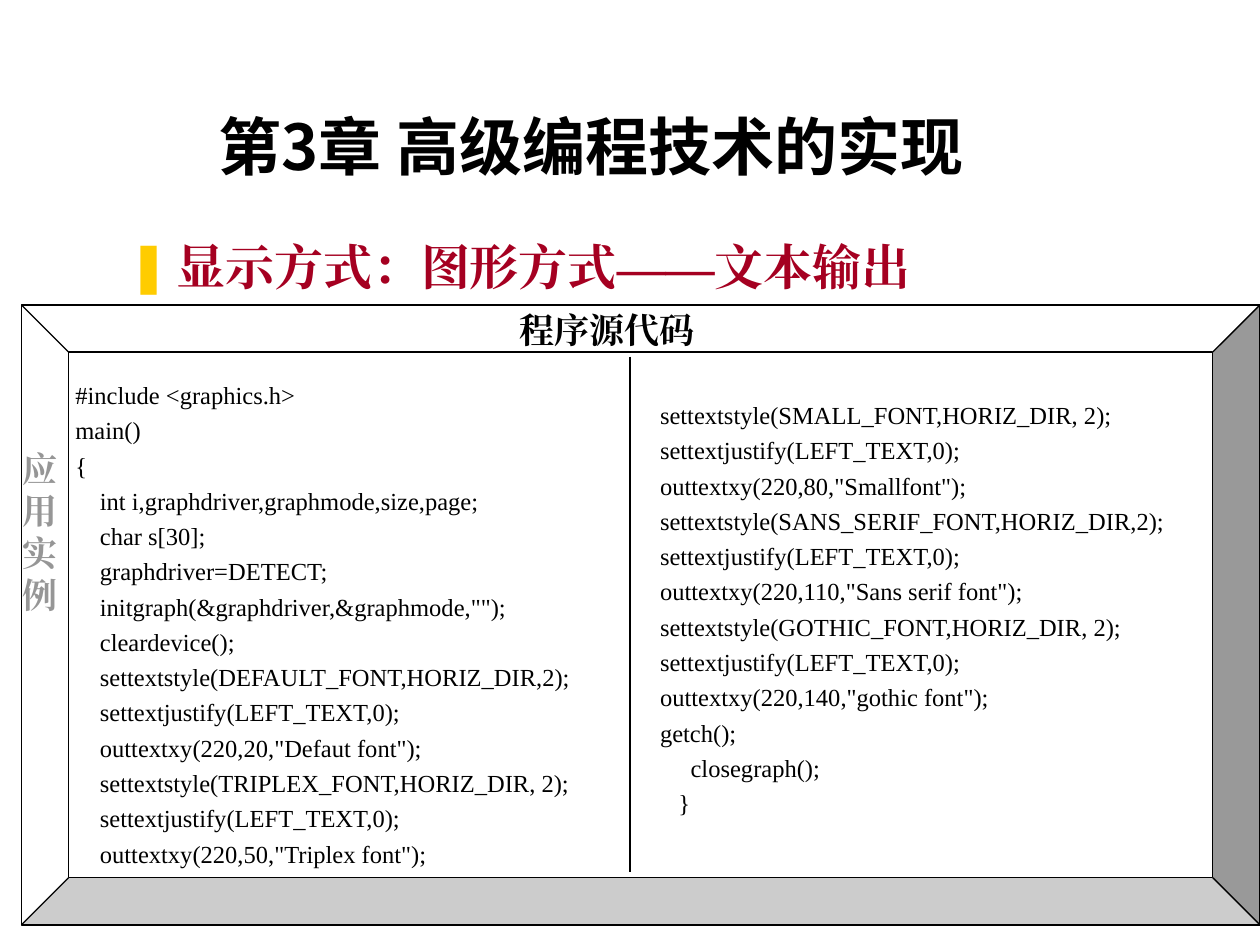
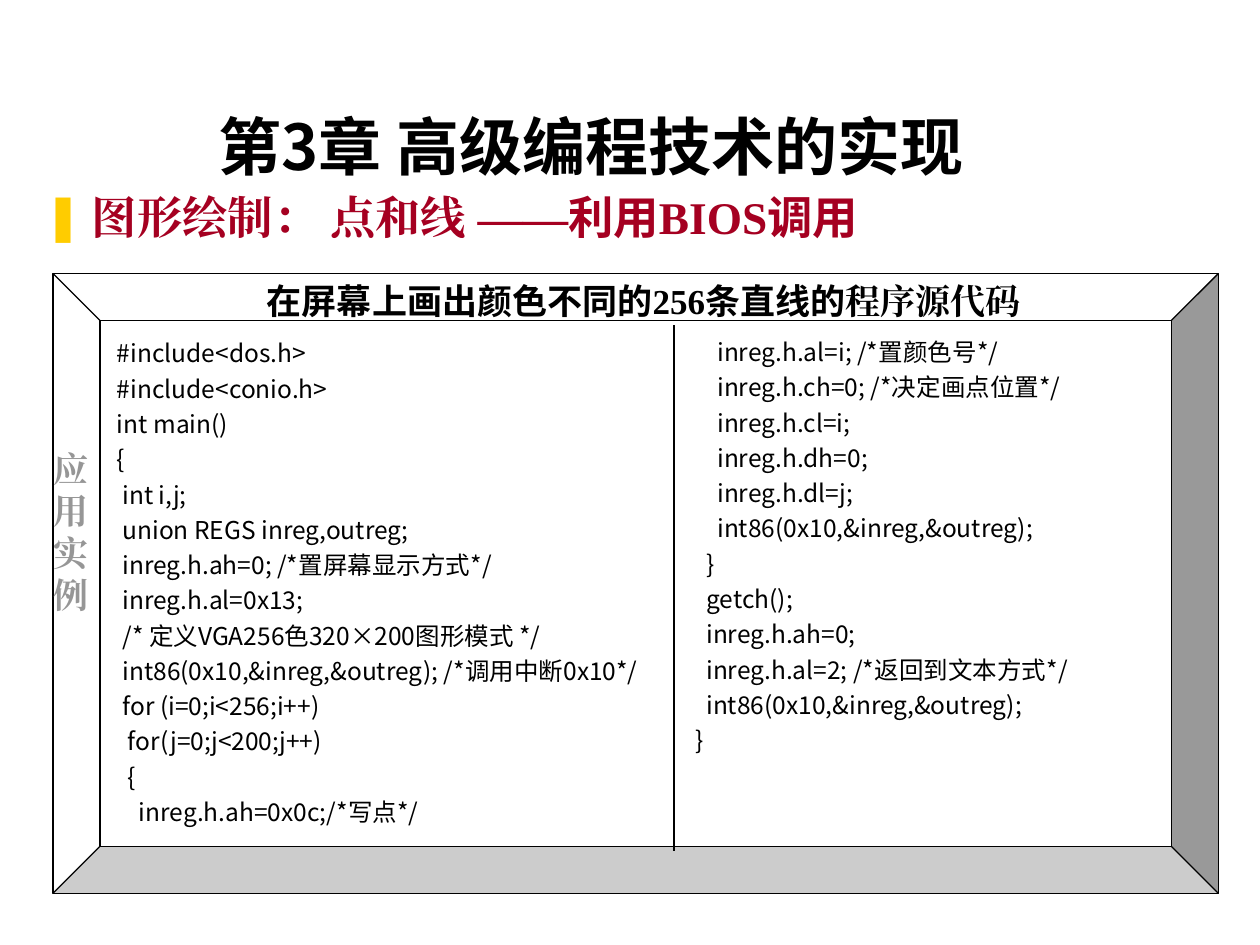
"""Build two slides of code samples, each in a bevelled frame."""
from dataclasses import dataclass

from lxml import etree
from pptx import Presentation
from pptx import util as u
from pptx.dml.color import RGBColor
from pptx.enum import shapes, text
from pptx.oxml.ns import qn

SANS = "Noto Sans CJK SC"
SERIF = "Times New Roman"
BLACK, WHITE, GREY, RED, GOLD = "000000", "FFFFFF", "969696", "A50021", "FFCC00"
HANG = u.Inches(0.38)
ALIGN = text.PP_ALIGN
TITLE = "第3章 高级编程技术的实现"
LABEL = "应用实例"

FONT_LEFT = """\
#include <graphics.h>
main()
{
    int i,graphdriver,graphmode,size,page;
    char s[30];
    graphdriver=DETECT;
    initgraph(&graphdriver,&graphmode,"");
    cleardevice();
    settextstyle(DEFAULT_FONT,HORIZ_DIR,2);
    settextjustify(LEFT_TEXT,0);
    outtextxy(220,20,"Defaut font");
    settextstyle(TRIPLEX_FONT,HORIZ_DIR, 2);
    settextjustify(LEFT_TEXT,0);
    outtextxy(220,50,"Triplex font");"""

FONT_RIGHT = """\
settextstyle(SMALL_FONT,HORIZ_DIR, 2);
settextjustify(LEFT_TEXT,0);
outtextxy(220,80,"Smallfont");
settextstyle(SANS_SERIF_FONT,HORIZ_DIR,2);
settextjustify(LEFT_TEXT,0);
outtextxy(220,110,"Sans serif font");
settextstyle(GOTHIC_FONT,HORIZ_DIR, 2);
settextjustify(LEFT_TEXT,0);
outtextxy(220,140,"gothic font");
getch();
     closegraph();
   }"""

LINE_LEFT = """\
#include<dos.h>
#include<conio.h>
int main()
{
 int i,j;
 union REGS inreg,outreg;
 inreg.h.ah=0; /*置屏幕显示方式*/
 inreg.h.al=0x13;
 /* 定义VGA256色320×200图形模式 */
 int86(0x10,&inreg,&outreg); /*调用中断0x10*/
 for (i=0;i<256;i++)
  for(j=0;j<200;j++)
  {
    inreg.h.ah=0x0c;/*写点*/"""

LINE_RIGHT = """\
    inreg.h.al=i; /*置颜色号*/
    inreg.h.ch=0; /*决定画点位置*/
    inreg.h.cl=i;
    inreg.h.dh=0;
    inreg.h.dl=j;
    int86(0x10,&inreg,&outreg);
  }
  getch();
  inreg.h.ah=0;
  inreg.h.al=2; /*返回到文本方式*/
  int86(0x10,&inreg,&outreg);
}"""


@dataclass(frozen=True)
class Box:
    """A place on the slide, in inches."""
    left: float
    top: float
    width: float
    height: float

    def put(self) -> list[u.Length]:
        """Return the place as lengths."""
        return [u.Inches(v) for v in (self.left, self.top, self.width, self.height)]


@dataclass(frozen=True)
class Run:
    """A piece of text in one font."""
    words: str
    face: str = SERIF


@dataclass(frozen=True)
class Style:
    """The look of a block of text."""
    size: float
    hue: str = BLACK
    bold: bool = True
    align: ALIGN = ALIGN.LEFT
    space: float = 1.0


@dataclass(frozen=True)
class Code:
    """A column of source code."""
    box: Box
    lines: str


@dataclass(frozen=True)
class Page:
    """All that differs from slide to slide."""
    topic: list[Run]
    topic_box: Box
    topic_style: Style
    frame: Box
    head: list[Run]
    head_box: Box
    label_box: Box
    face: str
    codes: list[Code]
    split: tuple[float, float, float]


HEAD = Style(20, align=ALIGN.CENTER)
SIDE = Style(20, GREY)
CODE = Style(14, bold=False, align=ALIGN.JUSTIFY, space=1.2)
MAIN = Style(36, align=ALIGN.CENTER)

PAGES = [
    Page([Run("显示方式：图形方式——文本输出")], Box(0.92, 1.83, 6.75, 0.69),
         Style(28, RED, align=ALIGN.JUSTIFY), Box(0.17, 2.42, 9.83, 4.92),
         [Run("程序源代码")], Box(3.86, 2.4, 1.92, 0.44),
         Box(0.08, 3.5, 0.42, 1.44), SERIF,
         [Code(Box(0.5, 2.92, 8.42, 4.02), FONT_LEFT),
          Code(Box(5.14, 3.08, 4.86, 3.46), FONT_RIGHT)],
         (5, 2.83, 6.92)),
    Page([Run("图形绘制： 点和线 ——"), Run("利用", SANS), Run("BIOS"), Run("调用", SANS)],
         Box(0.25, 1.5, 7.17, 0.69),
         Style(25.9, RED, align=ALIGN.JUSTIFY, space=0.9), Box(0.42, 2.17, 9.25, 4.92),
         [Run("在屏幕上画出颜色不同的", SANS), Run("256"), Run("条直线的", SANS),
          Run("程序源代码")],
         Box(1.9, 2.17, 6.42, 0.44), Box(0.33, 3.5, 0.42, 1.44), SANS,
         [Code(Box(0.83, 2.59, 8.42, 4.02), LINE_LEFT),
          Code(Box(5.42, 2.58, 4.08, 3.46), LINE_RIGHT)],
         (5.35, 2.58, 6.75)),
]


def tint(hue: str) -> RGBColor:
    """Turn a hex string into a colour."""
    return RGBColor.from_string(hue)


def apply(goal, form: dict) -> None:
    """Set each format value on the goal."""
    for name, value in form.items():
        setattr(goal, name, value)


def place(shape, box: Box) -> None:
    """Move and size a shape."""
    apply(shape, dict(zip(("left", "top", "width", "height"), box.put())))


def write(frame, rows: list[list[Run]], style: Style,
          anchor=text.MSO_ANCHOR.TOP) -> None:
    """Fill a text frame with rows of runs."""
    apply(frame, {"word_wrap": True, "auto_size": text.MSO_AUTO_SIZE.NONE,
                  "vertical_anchor": anchor})
    for i, row in enumerate(rows):
        para = frame.add_paragraph() if i else frame.paragraphs[0]
        apply(para, {"alignment": style.align, "line_spacing": style.space,
                     "space_before": u.Pt(0)})
        for part in row:
            run = para.add_run()
            run.text = part.words
            apply(run.font, {"size": u.Pt(style.size), "bold": style.bold,
                             "name": part.face})
            run.font.color.rgb = tint(style.hue)
            east = etree.SubElement(run.font._element, qn("a:ea"))
            east.set("typeface", part.face)


def mark(para) -> None:
    """Give a paragraph a gold bar as its bullet."""
    props = para._p.get_or_add_pPr()
    props.set("marL", str(HANG))
    props.set("indent", str(-HANG))
    hue = etree.SubElement(etree.SubElement(props, qn("a:buClr")), qn("a:srgbClr"))
    hue.set("val", GOLD)
    etree.SubElement(props, qn("a:buChar")).set("char", "❚")


def add_text(slide, box: Box, rows: list[list[Run]], style: Style) -> None:
    """Add a text box."""
    write(slide.shapes.add_textbox(*box.put()).text_frame, rows, style)


def add_frame(slide, box: Box) -> None:
    """Add the bevelled frame."""
    bevel = slide.shapes.add_shape(shapes.MSO_SHAPE.BEVEL, *box.put())
    bevel.adjustments[0] = 0.076
    bevel.shadow.inherit = False
    bevel.fill.solid()
    bevel.fill.fore_color.rgb = tint(WHITE)
    bevel.line.color.rgb = tint(BLACK)
    bevel.line.width = u.Pt(0.75)


def add_split(slide, x: float, top: float, end: float) -> None:
    """Add the line between the code columns."""
    ends = [u.Inches(v) for v in (x, top, x, end)]
    line = slide.shapes.add_connector(shapes.MSO_CONNECTOR.STRAIGHT, *ends)
    line.line.color.rgb = tint(BLACK)
    line.line.width = u.Pt(0.75)
    etree.SubElement(line._element.spPr, qn("a:effectLst"))


def add_page(deck, page: Page) -> None:
    """Add one slide."""
    slide = deck.slides.add_slide(deck.slide_layouts[1])
    title, body = slide.placeholders
    place(title, Box(0.44, 0.25, 8.5, 1.25))
    write(title.text_frame, [[Run(TITLE, SANS)]], MAIN, text.MSO_ANCHOR.BOTTOM)
    place(body, page.topic_box)
    write(body.text_frame, [page.topic], page.topic_style)
    mark(body.text_frame.paragraphs[0])
    add_frame(slide, page.frame)
    for code in page.codes:
        rows = [[Run(line, page.face)] for line in code.lines.split("\n")]
        add_text(slide, code.box, rows, CODE)
    add_text(slide, page.label_box, [[Run(LABEL)]], SIDE)
    add_text(slide, page.head_box, [page.head], HEAD)
    add_split(slide, *page.split)


def main() -> None:
    """Build and save the deck."""
    deck = Presentation()
    apply(deck, {"slide_width": u.Inches(10), "slide_height": u.Inches(7.5)})
    for page in PAGES:
        add_page(deck, page)
    deck.save("out.pptx")


if __name__ == "__main__":
    main()
